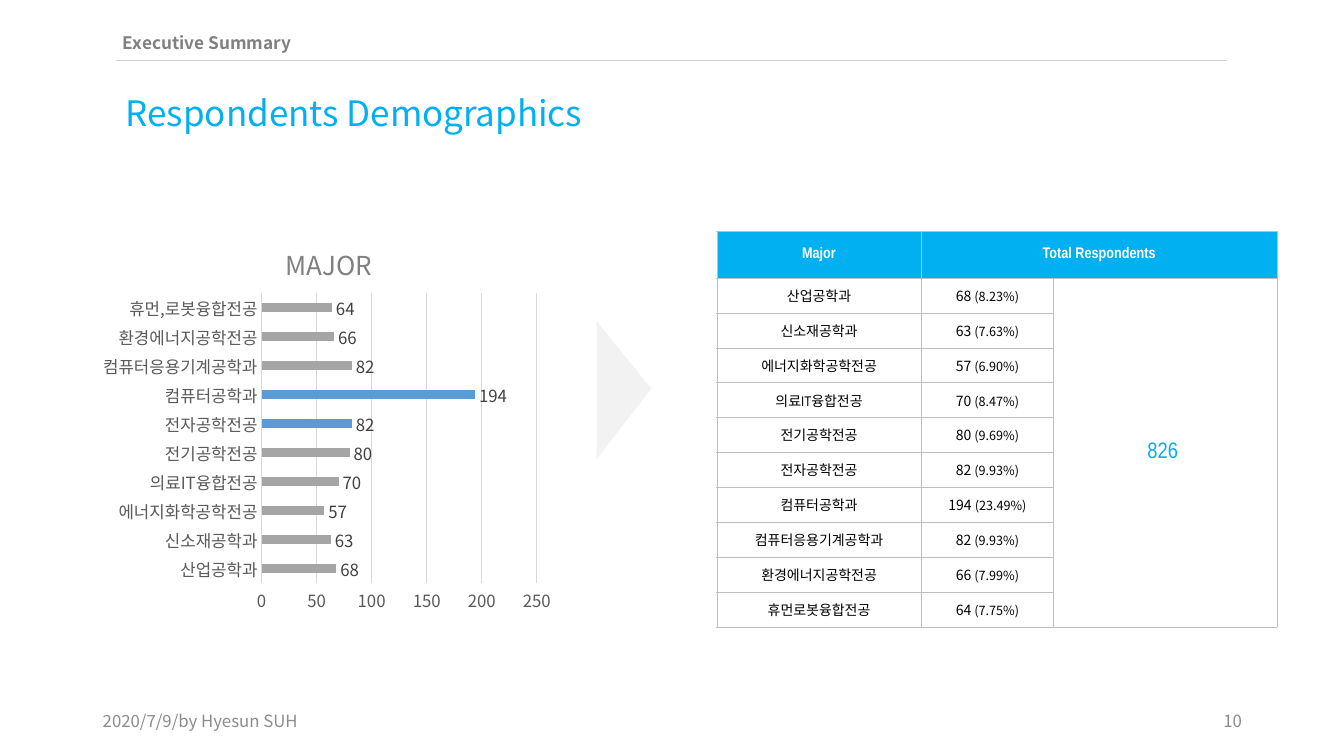
from lxml import etree
from pptx import Presentation, util as u
from pptx.chart.data import CategoryChartData
from pptx.dml.color import RGBColor
from pptx.enum import chart as ch, shapes, text
from pptx.oxml import parse_xml
from pptx.oxml.ns import nsdecls, qn

THEME = {
    "sans": "Noto Sans CJK KR", "narrow": "Arial Narrow",
    "accent": "00B0F0", "white": "FFFFFF", "black": "000000",
    "heading": "808080", "footer": "8C8C8C", "axis": "595959", "label": "404040",
    "rule": "D0CECE", "grid": "D9D9D9", "border": "BFBFBF", "arrow": "F2F2F2",
    "bar": "A5A5A5", "bar_hot": "5B9BD5",
    "title_pt": 25, "section_pt": 12.3, "small_pt": 12, "chart_title_pt": 18.6,
    "head_pt": 11, "cell_pt": 10, "share_pt": 9, "total_pt": 16,
}


def rgb(name):
    return RGBColor.from_string(THEME[name])


def style(font, size, color, face="sans", bold=False):
    formats = {"size": u.Pt(THEME[size]), "name": THEME[face], "bold": bold}
    for key, value in formats.items():
        setattr(font, key, value)
    font.color.rgb = rgb(color)
    etree.SubElement(font._rPr, qn("a:ea")).set("typeface", THEME["sans"])


prs = Presentation()
prs.slide_width, prs.slide_height = u.Cm(33.87), u.Cm(19.05)
s = prs.slides.add_slide(prs.slide_layouts[6])

# Heading and footer texts: words, box, margins, anchor, alignment, font
TOP, MIDDLE = text.MSO_ANCHOR.TOP, text.MSO_ANCHOR.MIDDLE
LEFT, CENTER, RIGHT = text.PP_ALIGN.LEFT, text.PP_ALIGN.CENTER, text.PP_ALIGN.RIGHT
labels = [
    ("Executive Summary", (2.92, 0.74, 17.02, 0.71), (0.18, 0.08), TOP, LEFT,
     ("section_pt", "heading", "sans", True)),
    ("Respondents Demographics", (2.92, 2.18, 19.18, 1.32), (0.25, 0.13), TOP, LEFT,
     ("title_pt", "accent")),
    ("2020/7/9/by Hyesun SUH", (2.34, 17.65, 7.62, 1.02), (0.25, 0.13), MIDDLE, LEFT,
     ("small_pt", "footer")),
    ("10", (23.93, 17.65, 7.62, 1.02), (0.25, 0.13), MIDDLE, RIGHT,
     ("small_pt", "footer")),
]
for words, box, (side, edge), anchor, align, font in labels:
    tf = s.shapes.add_textbox(*map(u.Cm, box)).text_frame
    formats = {"word_wrap": True, "vertical_anchor": anchor,
               "margin_left": u.Cm(side), "margin_right": u.Cm(side),
               "margin_top": u.Cm(edge), "margin_bottom": u.Cm(edge)}
    for key, value in formats.items():
        setattr(tf, key, value)
    p = tf.paragraphs[0]
    p.alignment = align
    r = p.add_run()
    r.text = words
    style(r.font, *font)

# Rule under the section name
rule = s.shapes.add_connector(shapes.MSO_CONNECTOR.STRAIGHT,
                              u.Cm(2.92), u.Cm(1.52), u.Cm(30.91), u.Cm(1.52))
rule.line.color.rgb, rule.line.width = rgb("rule"), u.Pt(0.5)
etree.SubElement(rule._element.spPr, qn("a:effectLst"))

# Arrow from chart to table
sp = s.shapes.add_shape(shapes.MSO_SHAPE.ISOSCELES_TRIANGLE,
                        u.Cm(13.94), u.Cm(9.12), u.Cm(3.58), u.Cm(1.42))
sp.rotation, sp.adjustments[0], sp.shadow.inherit = 90, 0.49, False
sp.fill.solid()
sp.fill.fore_color.rgb = rgb("arrow")
sp.line.color.rgb, sp.line.width = rgb("white"), u.Pt(1)

# Respondents by major; the last one is written differently in the table
majors = {"산업공학과": 68, "신소재공학과": 63, "에너지화학공학전공": 57,
          "의료IT융합전공": 70, "전기공학전공": 80, "전자공학전공": 82,
          "컴퓨터공학과": 194, "컴퓨터응용기계공학과": 82,
          "환경에너지공학전공": 66, "휴먼,로봇융합전공": 64}
total = sum(majors.values())

# Bar chart
data = CategoryChartData()
data.categories = list(majors)
data.add_series("Series 1", list(majors.values()))
chart = s.shapes.add_chart(ch.XL_CHART_TYPE.BAR_CLUSTERED, u.Cm(2.36), u.Cm(5.46),
                           u.Cm(11.76), u.Cm(10.16), data).chart
style(chart.font, "cell_pt", "black")
chart.has_legend = False
chart.has_title = True
p = chart.chart_title.text_frame.paragraphs[0]
r = p.add_run()
r.text = "MAJOR"
style(r.font, "chart_title_pt", "heading")

cat, val = chart.category_axis, chart.value_axis
for axis in (cat, val):
    axis.major_tick_mark = axis.minor_tick_mark = ch.XL_TICK_MARK.NONE
    style(axis.tick_labels.font, "small_pt", "axis")
cat.has_major_gridlines, val.has_major_gridlines = False, True
for line in (cat.format.line, val.major_gridlines.format.line):
    line.color.rgb, line.width = rgb("grid"), u.Pt(0.75)
val.format.line.fill.background()
val.minimum_scale, val.maximum_scale, val.major_unit = 0, 250, 50

plot = chart.plots[0]
plot.gap_width, plot.vary_by_categories = 219, False
series = plot.series[0]
series.format.fill.solid()
series.format.fill.fore_color.rgb = rgb("bar")
for major in ("전자공학전공", "컴퓨터공학과"):
    fill = series.points[list(majors).index(major)].format.fill
    fill.solid()
    fill.fore_color.rgb = rgb("bar_hot")
dl = series.data_labels
dl.show_value, dl.position = True, ch.XL_LABEL_POSITION.OUTSIDE_END
style(dl.font, "small_pt", "label")

# Places of the plot and the title, as shares of the chart
space = chart._chartSpace.chart
for part, index, place in (
        (space.plotArea, 0, {"layoutTarget": "inner", "xMode": "edge", "yMode": "edge",
                             "x": 0.36, "y": 0.19, "w": 0.59, "h": 0.72}),
        (chart.chart_title._element, 1, {"xMode": "edge", "yMode": "edge",
                                         "x": 0.4, "y": 0.05})):
    for old in part.findall(qn("c:layout")):
        part.remove(old)
    layout = etree.Element(qn("c:layout"))
    manual = etree.SubElement(layout, qn("c:manualLayout"))
    for key, value in place.items():
        etree.SubElement(manual, qn(f"c:{key}")).set("val", str(value))
    part.insert(index, layout)

# Table grid
table = s.shapes.add_table(len(majors) + 1, 3, u.Cm(18.06), u.Cm(5.82),
                           u.Cm(14.12), u.Cm(9.98)).table
table.first_row = table.horz_banding = False
for column, width in zip(table.columns, (5.16, 3.33, 5.63)):
    column.width = u.Cm(width)
for i, row in enumerate(table.rows):
    row.height = u.Cm(0.88 if i else 1.18)
    for cell in row.cells:
        cell.vertical_anchor = MIDDLE
        for side in "LRTB":
            cell._tc.get_or_add_tcPr().append(parse_xml(
                f'<a:ln{side} {nsdecls("a")} w="3175"><a:solidFill>'
                f'<a:srgbClr val="{THEME["border"]}"/></a:solidFill></a:ln{side}>'))
        if i:
            cell.fill.background()
        else:
            cell.fill.solid()
            cell.fill.fore_color.rgb = rgb("accent")
table.cell(0, 1).merge(table.cell(0, 2))
table.cell(1, 2).merge(table.cell(len(majors), 2))

# Table words: row, column, runs
head = ("head_pt", "white", "narrow", True)
entries = [(0, 0, [("Major", head)]), (0, 1, [("Total Respondents", head)]),
           (1, 2, [(f"{total} ", ("total_pt", "accent", "narrow"))])]
for i, (major, count) in enumerate(majors.items(), 1):
    entries += [
        (i, 0, [(major.replace(",", ""), ("cell_pt", "black", "narrow"))]),
        (i, 1, [(f"{count} ", ("cell_pt", "black")),
                (f"({count / total:.2%})", ("share_pt", "black"))])]
for i, j, runs in entries:
    p = table.cell(i, j).text_frame.paragraphs[0]
    p.alignment = CENTER
    for words, font in runs:
        r = p.add_run()
        r.text = words
        style(r.font, *font)

prs.save("out.pptx")
